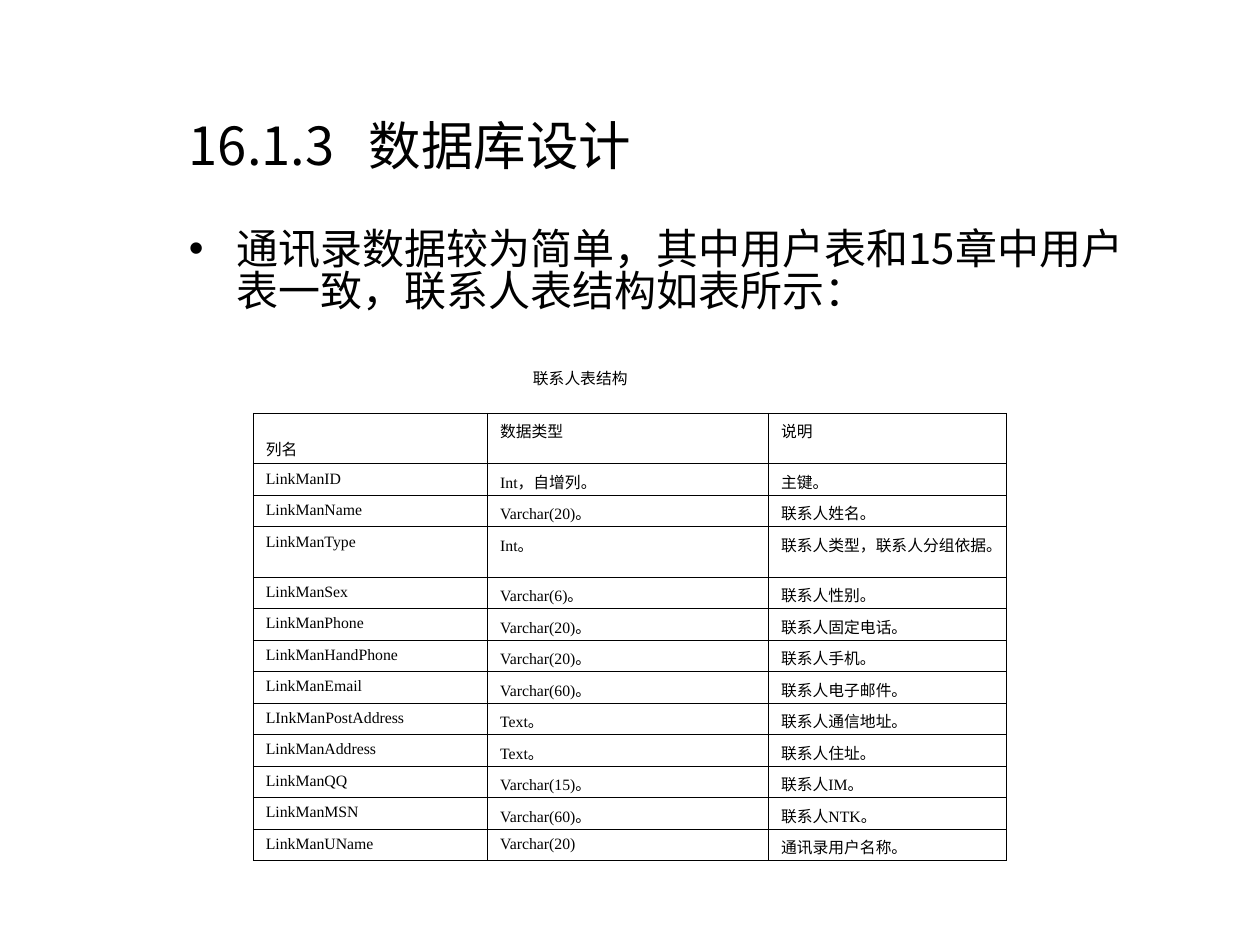
from lxml.etree import SubElement as Sub
from pptx import Presentation
from pptx.dml.color import RGBColor as RGB
from pptx.enum.text import MSO_ANCHOR as Anchor, PP_ALIGN as Align
from pptx.oxml.ns import qn
from pptx.util import Inches as In, Pt

INK = {"text": "000000", "line": "000000", "back": "FFFFFF"}
FONT = {"cjk": "Noto Sans CJK SC", "note": "Arial", "cell": "Times New Roman"}

TITLE = "16.1.3\t数据库设计"
BODY = "通讯录数据较为简单，其中用户表和15章中用户表一致，联系人表结构如表所示："
CAPTION = "联系人表结构"
ROWS = [
    ("列名", "数据类型", "说明"),
    ("LinkManID", "Int，自增列。", "主键。"),
    ("LinkManName", "Varchar(20)。", "联系人姓名。"),
    ("LinkManType", "Int。", "联系人类型，联系人分组依据。"),
    ("LinkManSex", "Varchar(6)。", "联系人性别。"),
    ("LinkManPhone", "Varchar(20)。", "联系人固定电话。"),
    ("LinkManHandPhone", "Varchar(20)。", "联系人手机。"),
    ("LinkManEmail", "Varchar(60)。", "联系人电子邮件。"),
    ("LInkManPostAddress", "Text。", "联系人通信地址。"),
    ("LinkManAddress", "Text。", "联系人住址。"),
    ("LinkManQQ", "Varchar(15)。", "联系人IM。"),
    ("LinkManMSN", "Varchar(60)。", "联系人NTK。"),
    ("LinkManUName", "Varchar(20)", "通讯录用户名称。"),
]
COLS = (1.86, 2.23, 1.89)
ROW = 0.25
TALL = {0: 0.4, 3: 0.4}
LEFT, TOP = 2.01, 3.28


def put(frame, text, size=9, font="cell", align=Align.LEFT, bullet=None,
        indent=0, tab=None, line=None):
    para = frame.paragraphs[0]
    props = para._p.get_or_add_pPr()
    if bullet:
        props.set("marL", str(In(indent)))
        props.set("indent", str(-In(indent)))
        Sub(props, qn("a:buFont"), typeface=FONT["note"])
        Sub(props, qn("a:buChar"), char=bullet)
    if tab:
        stops = Sub(props, qn("a:tabLst"))
        Sub(stops, qn("a:tab"), pos=str(In(tab)), algn="l")
    para.alignment = align
    if line:
        para.line_spacing = line
    run = para.add_run()
    run.text = text
    run.font.size = Pt(size)
    run.font.color.rgb = RGB.from_string(INK["text"])
    run.font.name = FONT[font]
    Sub(run._r.get_or_add_rPr(), qn("a:ea"), typeface=FONT["cjk"])


def box(slide, spot, anchor=Anchor.TOP, wrap=True):
    frame = slide.shapes.add_textbox(*map(In, spot)).text_frame
    frame.word_wrap = wrap
    frame.vertical_anchor = anchor
    return frame


def rule(cell):
    """Draw a thin line on all four sides of a cell."""
    props = cell._tc.get_or_add_tcPr()
    for side in ("lnL", "lnR", "lnT", "lnB"):
        edge = Sub(props, qn("a:" + side), w=str(Pt(0.45)))
        Sub(Sub(edge, qn("a:solidFill")), qn("a:srgbClr"), val=INK["line"])


def grid(slide):
    highs = [TALL.get(r, ROW) for r in range(len(ROWS))]
    table = slide.shapes.add_table(
        len(ROWS), len(COLS), In(LEFT), In(TOP),
        In(sum(COLS)), In(sum(highs))).table
    table.first_row = table.horz_banding = False
    for col, wide in zip(table.columns, COLS):
        col.width = In(wide)
    for row, high, texts in zip(table.rows, highs, ROWS):
        row.height = In(high)
        for cell, text in zip(row.cells, texts):
            cell.margin_top, cell.margin_bottom = In(0.05), 0
            rule(cell)
            cell.fill.background()
            put(cell.text_frame, text)
    table.cell(0, 0).margin_top = In(0.19)


def main():
    deck = Presentation()
    deck.slide_width, deck.slide_height = In(10), In(7.5)
    slide = deck.slides.add_slide(deck.slide_layouts[6])
    fill = slide.background.fill
    fill.solid()
    fill.fore_color.rgb = RGB.from_string(INK["back"])

    put(box(slide, (1.4, 0.75, 7.75, 0.8), Anchor.MIDDLE), TITLE,
        size=30, font="cjk", tab=1.43)
    body = box(slide, (1.4, 1.75, 7.77, 5.07))
    body.margin_top = In(0.08)
    put(body, BODY, size=24, font="cjk", bullet="•", indent=0.38, line=0.84)
    put(box(slide, (4.13, 2.88, 0.95, 0.25), Anchor.MIDDLE, wrap=False),
        CAPTION, font="note", align=Align.CENTER)
    grid(slide)
    deck.save("out.pptx")


if __name__ == "__main__":
    main()
